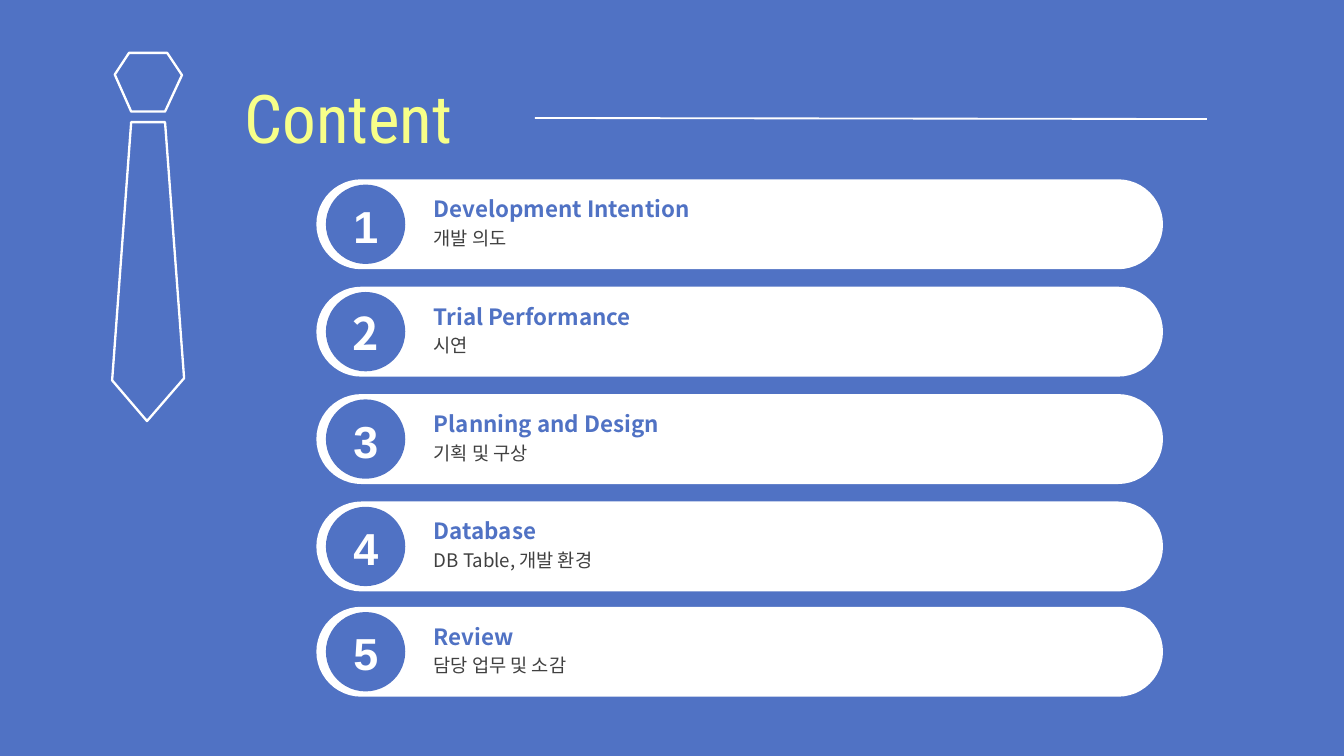
from lxml import etree
from pptx import Presentation
from pptx.dml.color import RGBColor
from pptx.enum.shapes import MSO_CONNECTOR as CONN, MSO_SHAPE as SHAPE
from pptx.enum.text import MSO_ANCHOR as ANCHOR, PP_ALIGN as ALIGN
from pptx.oxml.ns import qn
from pptx.util import Cm, Pt

COLORS = {"blue": "5072C4", "white": "FFFFFF", "yellow": "F7FF89", "gray": "404040"}
KOREAN = "Noto Sans CJK KR"

KNOT = [(2.17, 1.41), (2.44, 1), (3.16, 1), (3.44, 1.42), (3.12, 2.11), (2.48, 2.11)]
BLADE = [(2.48, 2.31), (3.12, 2.31), (3.48, 7.15), (2.78, 7.96), (2.12, 7.19)]

ROWS = [
    (3.39, "Arial", "Development Intention", "개발 의도"),
    (5.42, KOREAN, "Trial Performance", "시연"),
    (7.45, "Arial", "Planning and Design", "기획 및 구상"),
    (9.48, "Arial", "Database", "DB Table, 개발 환경"),
    (11.47, "Arial", "Review", "담당 업무 및 소감"),
]


class Deck:
    """Holds the presentation, its style and the current slide."""

    def __init__(self, width, height):
        self.prs = Presentation()
        self.prs.slide_width, self.prs.slide_height = Cm(width), Cm(height)
        self.s = self.prs.slides.add_slide(self.prs.slide_layouts[6])
        fill = self.s.background.fill
        fill.solid()
        fill.fore_color.rgb = self.color("blue")

    def color(self, name):
        return RGBColor.from_string(COLORS[name])

    def shape(self, kind, left, top, width, height, fill):
        sp = self.s.shapes.add_shape(kind, Cm(left), Cm(top), Cm(width), Cm(height))
        sp.shadow.inherit = False
        sp.fill.solid()
        sp.fill.fore_color.rgb = self.color(fill)
        sp.line.fill.background()
        return sp

    def outline(self, points):
        start, *rest = [(Cm(x), Cm(y)) for x, y in points]
        builder = self.s.shapes.build_freeform(*start)
        builder.add_line_segments(rest, close=True)
        sp = builder.convert_to_shape()
        sp.shadow.inherit = False
        sp.fill.background()
        sp.line.color.rgb = self.color("white")
        sp.line.width = Pt(1.25)

    def line(self, x1, y1, x2, y2):
        ln = self.s.shapes.add_connector(CONN.STRAIGHT, Cm(x1), Cm(y1), Cm(x2), Cm(y2))
        ln.line.color.rgb = self.color("white")
        ln.line.width = Pt(1)
        etree.SubElement(ln._element.spPr, qn("a:effectLst"))

    def text(self, text, left, top, width, height, size, font, color,
             bold=False, align=ALIGN.LEFT, anchor=ANCHOR.TOP):
        sp = self.s.shapes.add_textbox(Cm(left), Cm(top), Cm(width), Cm(height))
        tf = sp.text_frame
        tf.word_wrap = True
        tf.vertical_anchor = anchor
        tf.text = text
        p = tf.paragraphs[0]
        p.alignment = align
        r = p.runs[0]
        r.font.name, r.font.size, r.font.bold = font, Pt(size), bold
        r.font.color.rgb = self.color(color)
        etree.SubElement(r.font._element, qn("a:ea"), typeface=font)

    def row(self, number, top, number_font, title, subtitle):
        pill = self.shape(SHAPE.ROUNDED_RECTANGLE, 5.98, top, 16, 1.7, "white")
        pill.adjustments[0] = 0.5
        self.shape(SHAPE.OVAL, 6.16, top + 0.1, 1.5, 1.5, "blue")
        self.text(str(number), 6.32, top + 0.24, 1.19, 1.27, 24, number_font, "white",
                  bold=True, align=ALIGN.CENTER)
        self.text(subtitle, 7.95, top + 0.77, 13.03, 0.69, 10, KOREAN, "gray")
        self.text(title, 7.95, top + 0.18, 13.03, 0.76, 12, KOREAN, "blue", bold=True)


def main():
    deck = Deck(25.4, 14.29)
    deck.text("Content", 4.37, 1.4, 20.6, 1.6, 36, "Roboto Condensed", "yellow",
              anchor=ANCHOR.MIDDLE)
    deck.outline(KNOT)
    deck.outline(BLADE)
    deck.line(10.11, 2.23, 22.81, 2.25)
    for number, row in enumerate(ROWS, 1):
        deck.row(number, *row)
    deck.prs.save("out.pptx")


if __name__ == "__main__":
    main()
